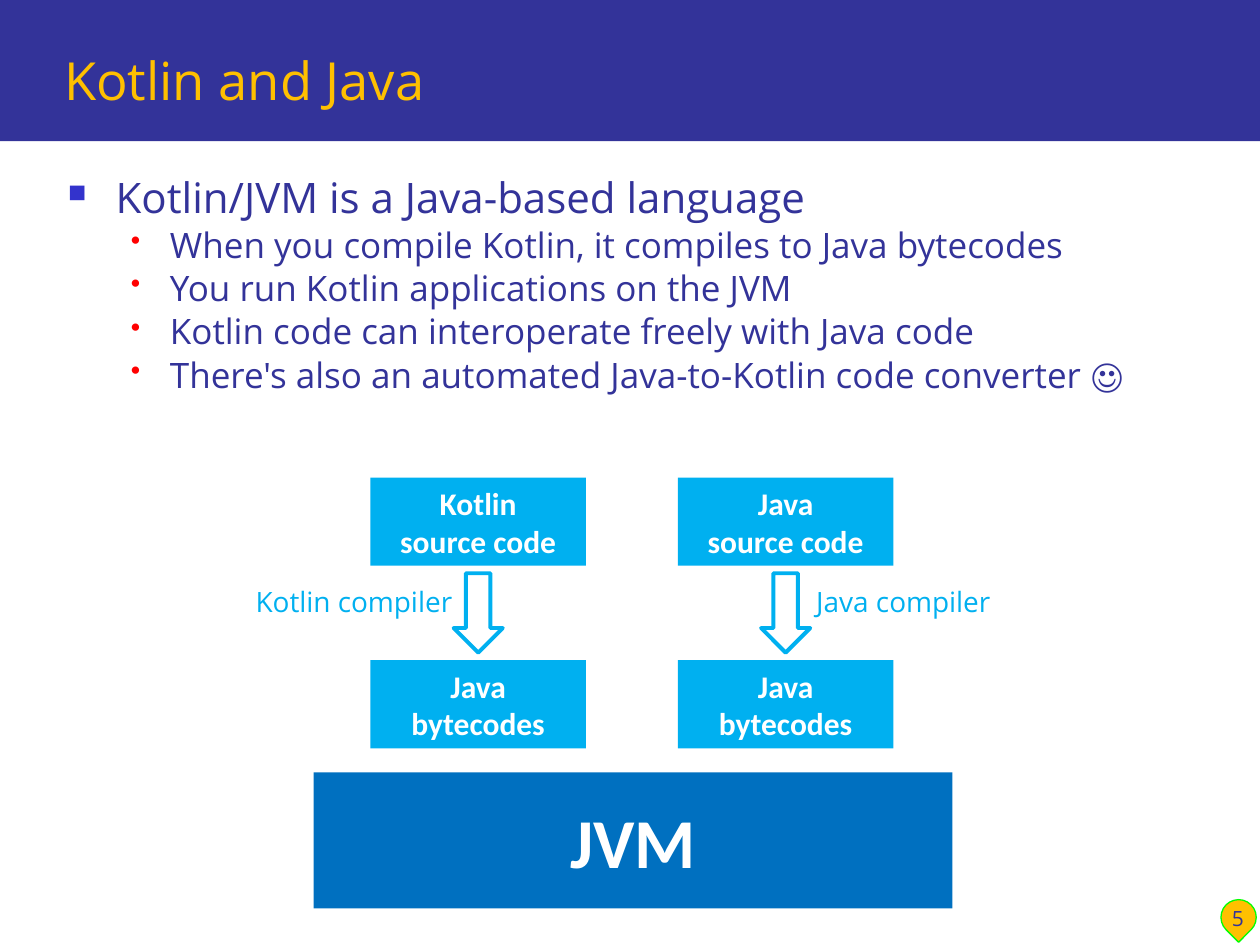
import pptx
import pptx.dml.color
import pptx.enum.shapes
import pptx.enum.text
import pptx.oxml
import pptx.oxml.ns
import pptx.util

Inches = pptx.util.Inches
Pt = pptx.util.Pt
SHAPES = pptx.enum.shapes.MSO_SHAPE
ALIGN = pptx.enum.text.PP_ALIGN
ANCHOR = pptx.enum.text.MSO_ANCHOR
NAVY, GOLD, SKY, BLUE, WHITE = "333399", "FFC000", "00B0F0", "0070C0", "FFFFFF"

deck = pptx.Presentation()
deck.slide_width, deck.slide_height = Inches(10), Inches(7.5)
slide = deck.slides.add_slide(deck.slide_layouts[6])


def draw(kind, box, fill=None, line=None, width=1):
    """Add a preset shape, or a text box when kind is None."""
    place = [Inches(length) for length in box]
    if kind is None:
        return slide.shapes.add_textbox(*place)
    shape = slide.shapes.add_shape(kind, *place)
    shape.shadow.inherit = False
    for part, color in ((shape.fill, fill), (shape.line.fill, line)):
        if color:
            part.solid()
            part.fore_color.rgb = pptx.dml.color.RGBColor.from_string(color)
        else:
            part.background()
    if line:
        shape.line.width = Pt(width)
    return shape


def write(shape, lines, size, color, font="Open Sans", bold=False,
          align=ALIGN.LEFT, anchor=ANCHOR.TOP, wrap=True):
    """Fill a shape with one paragraph per line and return the paragraphs."""
    frame = shape.text_frame
    frame.word_wrap, frame.vertical_anchor = wrap, anchor
    frame.text = "\n".join(lines)
    font_format = {"size": Pt(size), "name": font, "bold": bold}
    for paragraph in frame.paragraphs:
        paragraph.alignment = align
        for run in paragraph.runs:
            for name, value in font_format.items():
                setattr(run.font, name, value)
            run.font.color.rgb = pptx.dml.color.RGBColor.from_string(color)
    return frame.paragraphs


# Header band, title and page number
draw(SHAPES.RECTANGLE, (0, 0, 10, 1.12), NAVY)
write(draw(None, (0.41, 0.17, 9.35, 0.76)), ["Kotlin and Java"], 30, GOLD,
      anchor=ANCHOR.BOTTOM)
page_marker = draw(SHAPES.TEAR, (9.69, 7.14, 0.28, 0.28), GOLD, "00FF00", 0.75)
page_marker.rotation = 134.9
write(draw(None, (9.54, 6.94, 0.57, 0.5)), ["5"], 12, NAVY,
      align=ALIGN.CENTER, anchor=ANCHOR.BOTTOM)

# Bulleted claims
claims = [
    "Kotlin/JVM is a Java-based language",
    "When you compile Kotlin, it compiles to Java bytecodes",
    "You run Kotlin applications on the JVM",
    "Kotlin code can interoperate freely with Java code",
    "There's also an automated Java-to-Kotlin code converter ☺",
]
bullet_styles = [
    {"size": 24, "left": 0.38, "hang": 0.38, "before": 0,
     "mark": "■", "color": "3333CC", "percent": 60},
    {"size": 20, "left": 0.81, "hang": 0.31, "before": 0.8,
     "mark": "•", "color": "FF0000", "percent": 80},
]
claim_paragraphs = write(draw(None, (0.44, 1.31, 9.38, 5.4)), claims, 20, NAVY)
for index, paragraph in enumerate(claim_paragraphs):
    level = min(index, 1)
    style = bullet_styles[level]
    paragraph.level = level
    paragraph.space_before = Pt(style["before"])
    paragraph.runs[0].font.size = Pt(style["size"])
    properties = paragraph._p.get_or_add_pPr()
    properties.set("marL", str(Inches(style["left"])))
    properties.set("indent", str(-Inches(style["hang"])))
    for xml in (f'<a:buClr %s><a:srgbClr val="{style["color"]}"/></a:buClr>',
                f'<a:buSzPct %s val="{style["percent"] * 1000}"/>',
                f'<a:buChar %s char="{style["mark"]}"/>'):
        properties.append(pptx.oxml.parse_xml(xml % pptx.oxml.ns.nsdecls("a")))

# Source code compiled to bytecodes, one column per language
box_format = {"color": WHITE, "font": "Calibri", "bold": True,
              "align": ALIGN.CENTER, "anchor": ANCHOR.MIDDLE}
box_width, arrow_width = 1.71, 0.39
columns = [("Kotlin", 2.94, 1.93, 1.78), ("Java", 5.38, 6.38, 1.6)]
for language, left, label_left, label_width in columns:
    stages = [(3.79, [f"{language}\vsource code"]), (5.24, ["Java", "bytecodes"])]
    for top, lines in stages:
        stage = draw(SHAPES.RECTANGLE, (left, top, box_width, 0.7), SKY)
        write(stage, lines, 18, **box_format)
    arrow_left = left + (box_width - arrow_width) / 2
    draw(SHAPES.DOWN_ARROW, (arrow_left, 4.55, arrow_width, 0.63), None, SKY, 2.25)
    write(draw(None, (label_left, 4.59, label_width, 0.37)),
          [f"{language} compiler"], 16, SKY, wrap=False)

jvm = draw(SHAPES.RECTANGLE, (2.49, 6.13, 5.07, 1.08), BLUE)
write(jvm, ["JVM"], 40, **box_format)

deck.save("out.pptx")
